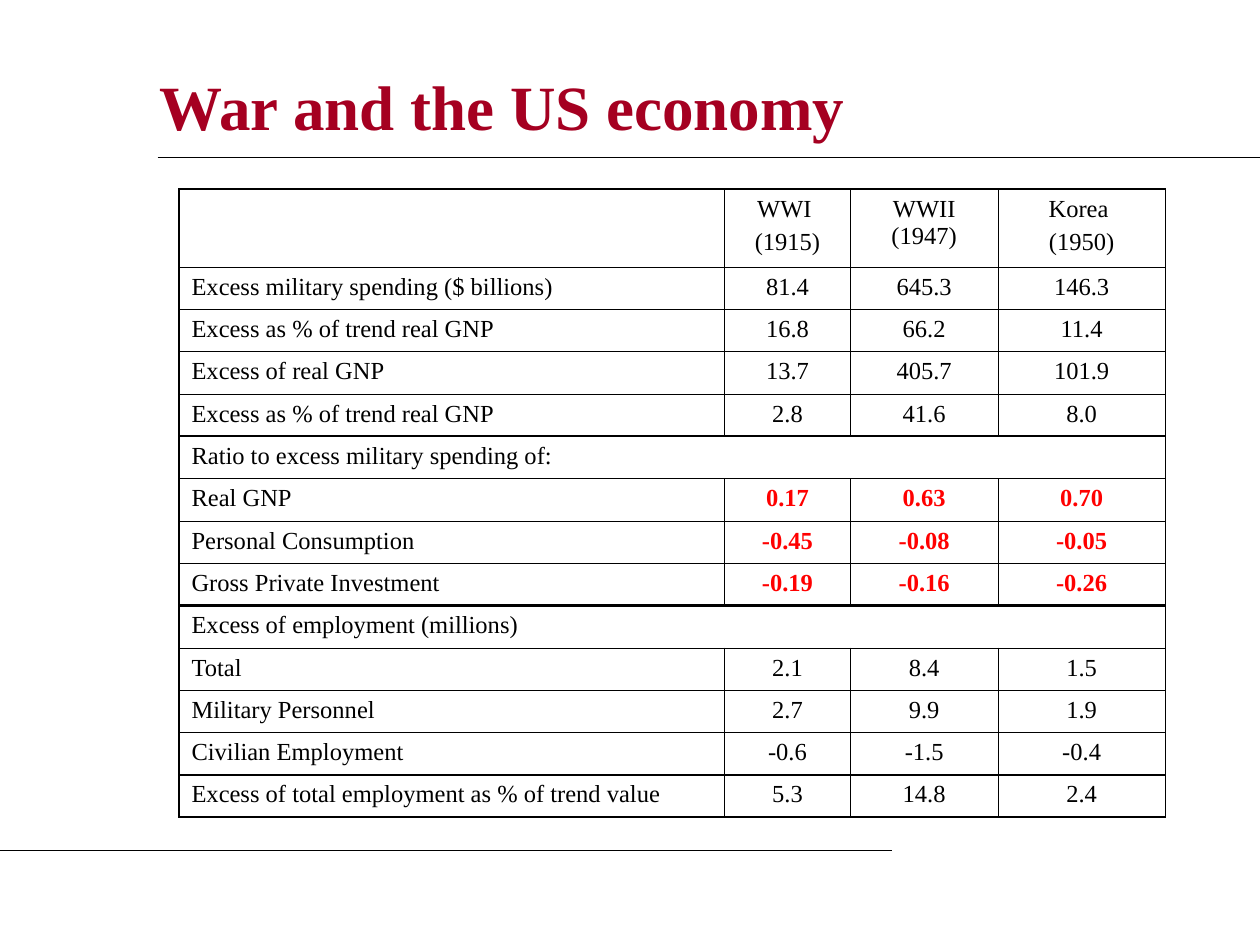
from lxml import etree
from pptx import Presentation
from pptx.dml.color import RGBColor
from pptx.enum.shapes import MSO_CONNECTOR
from pptx.enum.text import MSO_ANCHOR, PP_ALIGN
from pptx.oxml.ns import qn
from pptx.util import Inches, Pt

LEFT, CENTER = PP_ALIGN.LEFT, PP_ALIGN.CENTER
MIDDLE = MSO_ANCHOR.MIDDLE
STRAIGHT = MSO_CONNECTOR.STRAIGHT

FONT = "Times New Roman"
CRIMSON = RGBColor(0xA5, 0x00, 0x21)
RED = RGBColor(0xFF, 0x00, 0x00)
BLACK = RGBColor(0x00, 0x00, 0x00)

SLIDE_WIDTH, SLIDE_HEIGHT = 10, 7.5
TITLE = "War and the US economy"
TITLE_BOX = (1.17, 0.25, 8.5, 1.17)
RULES = [(1.25, SLIDE_WIDTH, 1.25), (0, 7.08, 6.75)]  # start x, end x, y

HEADER = ["", "WWI \n(1915)", "WWII (1947)", "Korea \n(1950)"]
# A row with a label only is a section heading across all columns.
ROWS = [
    ["Excess military spending ($ billions)", "81.4", "645.3", "146.3"],
    ["Excess as % of trend real GNP", "16.8", "66.2", "11.4"],
    ["Excess of real GNP", "13.7", "405.7", "101.9"],
    ["Excess as % of trend real GNP", "2.8", "41.6", "8.0"],
    ["Ratio to excess military spending of:"],
    ["Real GNP", "0.17", "0.63", "0.70"],
    ["Personal Consumption", "-0.45", "-0.08", "-0.05"],
    ["Gross Private Investment", "-0.19", "-0.16", "-0.26"],
    ["Excess of employment (millions)"],
    ["Total", "2.1", "8.4", "1.5"],
    ["Military Personnel", "2.7", "9.9", "1.9"],
    ["Civilian Employment", "-0.6", "-1.5", "-0.4"],
    ["Excess of total employment as % of trend value", "5.3", "14.8", "2.4"],
]
HIGHLIGHTED_ROWS = (6, 7, 8)
BLOCK_STARTS = (5, 9, 13)  # table rows with a heavy line above

TABLE_LEFT, TABLE_TOP, TABLE_HEIGHT = 1.42, 1.5, 4.99
COLUMN_WIDTHS = [4.33, 1, 1.17, 1.33]
HEADER_HEIGHT = 0.62
ROW_HEIGHT = (TABLE_HEIGHT - HEADER_HEIGHT) / len(ROWS)
INNER_LINE, OUTER_LINE, BLOCK_LINE = 0.45, 1.08, 1.47


def write_text(frame, text, size=14, color=BLACK, bold=False, align=LEFT):
    frame.word_wrap = True
    for index, line in enumerate(text.split("\n")):
        paragraph = frame.add_paragraph() if index else frame.paragraphs[0]
        paragraph.alignment = align
        if index:
            paragraph.space_before = Pt(3.5)
        run = paragraph.add_run()
        run.text = line
        run.font.name = FONT
        run.font.size = Pt(size)
        run.font.bold = bold
        run.font.color.rgb = color


def add_rule(slide, start, end, y):
    rule = slide.shapes.add_connector(
        STRAIGHT, Inches(start), Inches(y), Inches(end), Inches(y))
    rule.line.color.rgb = BLACK
    rule.line.width = Pt(0.75)
    etree.SubElement(rule._element.spPr, qn("a:effectLst"))


def set_borders(cell, **widths):
    """Set border widths in points; the schema wants L, R, T, B before the fill."""
    properties = cell._tc.get_or_add_tcPr()
    for position, edge in enumerate("LRTB"):
        line = etree.Element(qn(f"a:ln{edge}"), w=str(Pt(widths[edge])))
        fill = etree.SubElement(line, qn("a:solidFill"))
        etree.SubElement(fill, qn("a:srgbClr"), val=str(BLACK))
        properties.insert(position, line)


def horizontal_line(boundary):
    """Return the line width at the top of the given table row."""
    if boundary in BLOCK_STARTS:
        return BLOCK_LINE
    return OUTER_LINE if boundary in (0, len(ROWS) + 1) else INNER_LINE


def add_economy_table(slide):
    content = [HEADER] + ROWS
    column_count = len(COLUMN_WIDTHS)
    table = slide.shapes.add_table(
        len(content), column_count, Inches(TABLE_LEFT), Inches(TABLE_TOP),
        Inches(sum(COLUMN_WIDTHS)), Inches(TABLE_HEIGHT)).table
    table.first_row = table.horz_banding = False
    for column, width in zip(table.columns, COLUMN_WIDTHS):
        column.width = Inches(width)
    for row_index, values in enumerate(content):
        table.rows[row_index].height = Inches(ROW_HEIGHT if row_index else HEADER_HEIGHT)
        is_section = len(values) == 1
        if is_section:
            table.cell(row_index, 0).merge(table.cell(row_index, column_count - 1))
        for column_index, text in enumerate(values):
            cell = table.cell(row_index, column_index)
            cell.margin_left = cell.margin_right = Inches(0.1)
            cell.margin_top = cell.margin_bottom = Inches(0.05)
            cell.fill.background()
            highlighted = column_index > 0 and row_index in HIGHLIGHTED_ROWS
            write_text(cell.text_frame, text, bold=highlighted,
                       color=RED if highlighted else BLACK,
                       align=CENTER if column_index else LEFT)
            at_right = is_section or column_index == column_count - 1
            set_borders(cell, L=INNER_LINE if column_index else OUTER_LINE,
                        R=OUTER_LINE if at_right else INNER_LINE,
                        T=horizontal_line(row_index),
                        B=horizontal_line(row_index + 1))


def main():
    presentation = Presentation()
    presentation.slide_width = Inches(SLIDE_WIDTH)
    presentation.slide_height = Inches(SLIDE_HEIGHT)
    slide = presentation.slides.add_slide(presentation.slide_layouts[6])

    title = slide.shapes.add_textbox(*map(Inches, TITLE_BOX)).text_frame
    title.vertical_anchor = MIDDLE
    write_text(title, TITLE, size=36, color=CRIMSON, bold=True)
    for rule in RULES:
        add_rule(slide, *rule)
    add_economy_table(slide)
    presentation.save("out.pptx")


if __name__ == "__main__":
    main()
